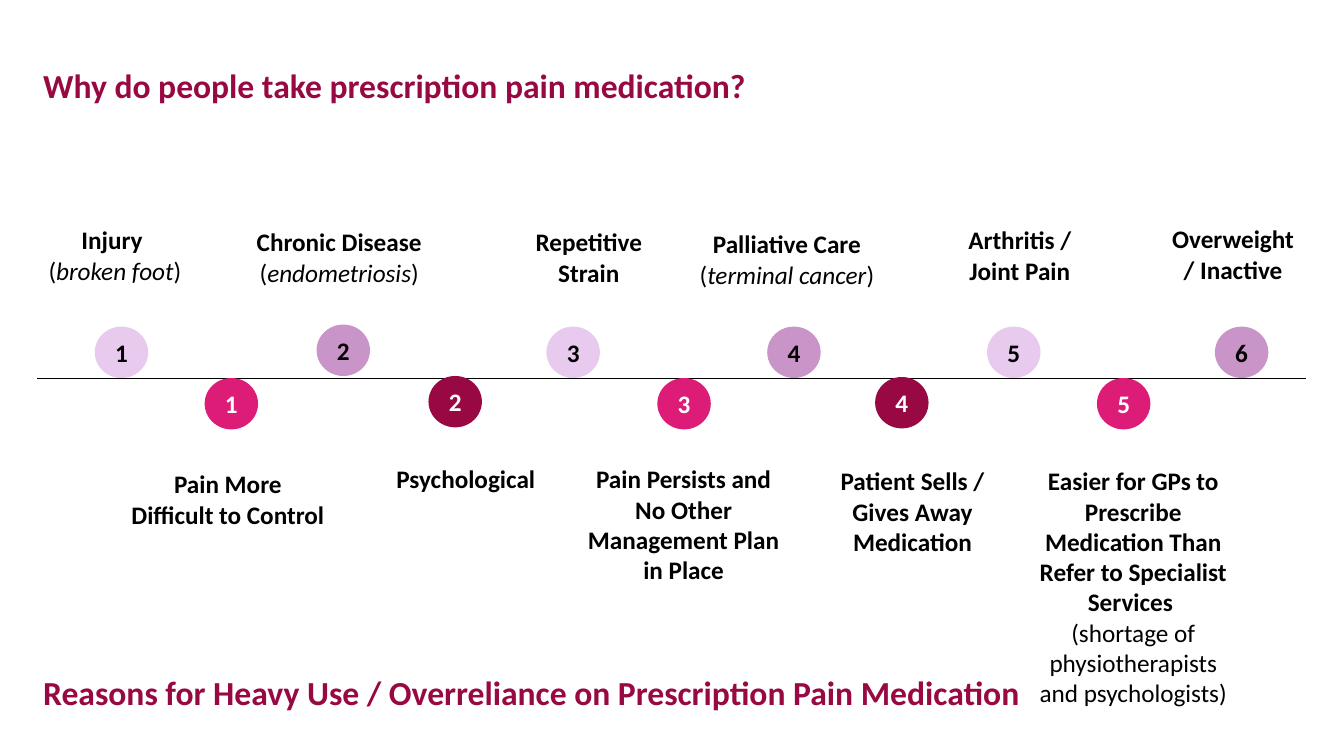
from dataclasses import dataclass

from lxml.etree import SubElement
from pptx import Presentation
from pptx.dml.color import RGBColor
from pptx.enum.shapes import MSO_CONNECTOR, MSO_SHAPE
from pptx.enum.text import MSO_ANCHOR, MSO_AUTO_SIZE, PP_ALIGN
from pptx.oxml.ns import qn
from pptx.util import Inches, Pt

COLORS = {
    "black": "000000", "white": "FFFFFF",
    "lilac": "E7CAED", "mauve": "C994C7",
    "pink": "DD1C77", "wine": "980943",
}
COLUMNS, ROWS = 13.33, 7.5  # grid of one-inch cells
MARKER_SIZE = (0.53, 0.51)


@dataclass
class Reason:
    """One stop on the timeline; places are in grid columns and rows."""
    marker: tuple
    box: tuple
    label: str
    note: str = ""
    italic: bool = False


class TimelineSlide:
    """Holds the style and the current slide."""

    def __init__(self, deck, font_name="Calibri", body_size=18, title_size=24):
        """Set the slide size and add a blank page."""
        deck.slide_width, deck.slide_height = Inches(COLUMNS), Inches(ROWS)
        self.page = deck.slides.add_slide(deck.slide_layouts[6])
        self.font_name = font_name
        self.body_size = body_size
        self.title_size = title_size

    def color(self, name):
        """Look up a palette colour."""
        return RGBColor.from_string(COLORS[name])

    def style(self, paragraph, size, color, bold=True, align=PP_ALIGN.CENTER):
        """Set the font and alignment of a whole paragraph."""
        paragraph.alignment = align
        font = paragraph.font
        font.name, font.size, font.bold = self.font_name, Pt(size), bold
        font.color.rgb = self.color(color)

    def text_box(self, box):
        """Add a wrapping text box that grows with its text."""
        frame = self.page.shapes.add_textbox(*map(Inches, box)).text_frame
        frame.word_wrap = True
        frame.auto_size = MSO_AUTO_SIZE.SHAPE_TO_FIT_TEXT
        return frame

    def title(self, box, text):
        """Add a left-aligned heading."""
        paragraph = self.text_box(box).paragraphs[0]
        paragraph.text = text
        self.style(paragraph, self.title_size, "wine", align=PP_ALIGN.LEFT)

    def axis(self, left, right, row):
        """Draw the thin horizontal timeline."""
        line = self.page.shapes.add_connector(
            MSO_CONNECTOR.STRAIGHT, *map(Inches, (left, row, right, row)))
        line.line.color.rgb = self.color("black")
        line.line.width = Pt(0.5)
        SubElement(line.element.spPr, qn("a:effectLst"))

    def marker(self, place, number, fill, ink):
        """Add a numbered circle."""
        circle = self.page.shapes.add_shape(
            MSO_SHAPE.OVAL, *map(Inches, place + MARKER_SIZE))
        circle.shadow.inherit = False
        circle.fill.solid()
        circle.fill.fore_color.rgb = self.color(fill)
        circle.line.fill.background()
        frame = circle.text_frame
        frame.margin_left = frame.margin_right = 0
        frame.margin_top = frame.margin_bottom = 0
        frame.vertical_anchor = MSO_ANCHOR.MIDDLE
        frame.paragraphs[0].text = str(number)
        self.style(frame.paragraphs[0], self.body_size, ink)

    def label(self, reason):
        """Add a bold label, with its bracketed note below if there is one."""
        frame = self.text_box(reason.box)
        paragraph = frame.paragraphs[0]
        paragraph.text = reason.label
        self.style(paragraph, self.body_size, "black")
        if reason.note:
            paragraph = frame.add_paragraph()
            self.style(paragraph, self.body_size, "black", bold=False)
            for text, italic in (("(", False), (reason.note, reason.italic),
                                 (")", False)):
                span = paragraph.add_run()
                span.text = text
                span.font.italic = italic

    def series(self, reasons, fills, ink):
        """Add numbered reasons whose fills alternate."""
        for index, reason in enumerate(reasons):
            fill = fills[index % len(fills)]
            self.marker(reason.marker, index + 1, fill, ink)
            self.label(reason)


USES = [
    Reason((0.94, 3.24), (0.08, 2.18, 2.12, 0.71), "Injury ", "broken foot", True),
    Reason((3.14, 3.22), (2.35, 2.2, 2.03, 0.71), "Chronic Disease",
           "endometriosis", True),
    Reason((5.42, 3.24), (5.16, 2.2, 1.36, 0.71), "Repetitive Strain"),
    Reason((7.61, 3.24), (6.82, 2.22, 1.97, 0.71), "Palliative Care",
           "terminal cancer", True),
    Reason((9.79, 3.24), (9.28, 2.18, 1.67, 0.71), "Arthritis / Joint Pain"),
    Reason((12.05, 3.24), (11.51, 2.17, 1.44, 0.71), "Overweight / Inactive"),
]
OVERUSE = [
    Reason((2.03, 3.75), (1.2, 4.6, 2.12, 0.71), "Pain More Difficult to Control"),
    Reason((4.25, 3.73), (3.56, 4.55, 2.12, 0.4), "Psychological"),
    Reason((6.52, 3.75), (5.72, 4.55, 2.12, 1.31),
           "Pain Persists and No Other Management Plan in Place"),
    Reason((8.68, 3.74), (7.99, 4.57, 2.12, 1.01),
           "Patient Sells / Gives Away Medication"),
    Reason((10.88, 3.75), (10.18, 4.57, 2.12, 2.52),
           "Easier for GPs to Prescribe Medication Than Refer to Specialist Services ",
           "shortage of physiotherapists and psychologists"),
]

deck = Presentation()
timeline = TimelineSlide(deck)
timeline.axis(0.37, 12.95, ROWS / 2)
timeline.series(USES, ("lilac", "mauve"), "black")
timeline.series(OVERUSE, ("pink", "wine"), "white")
timeline.title((0.33, 0.59, 7.9, 0.5),
               "Why do people take prescription pain medication?")
timeline.title((0.33, 6.62, 10.3, 0.5),
               "Reasons for Heavy Use / Overreliance on Prescription Pain Medication")
deck.save("out.pptx")
